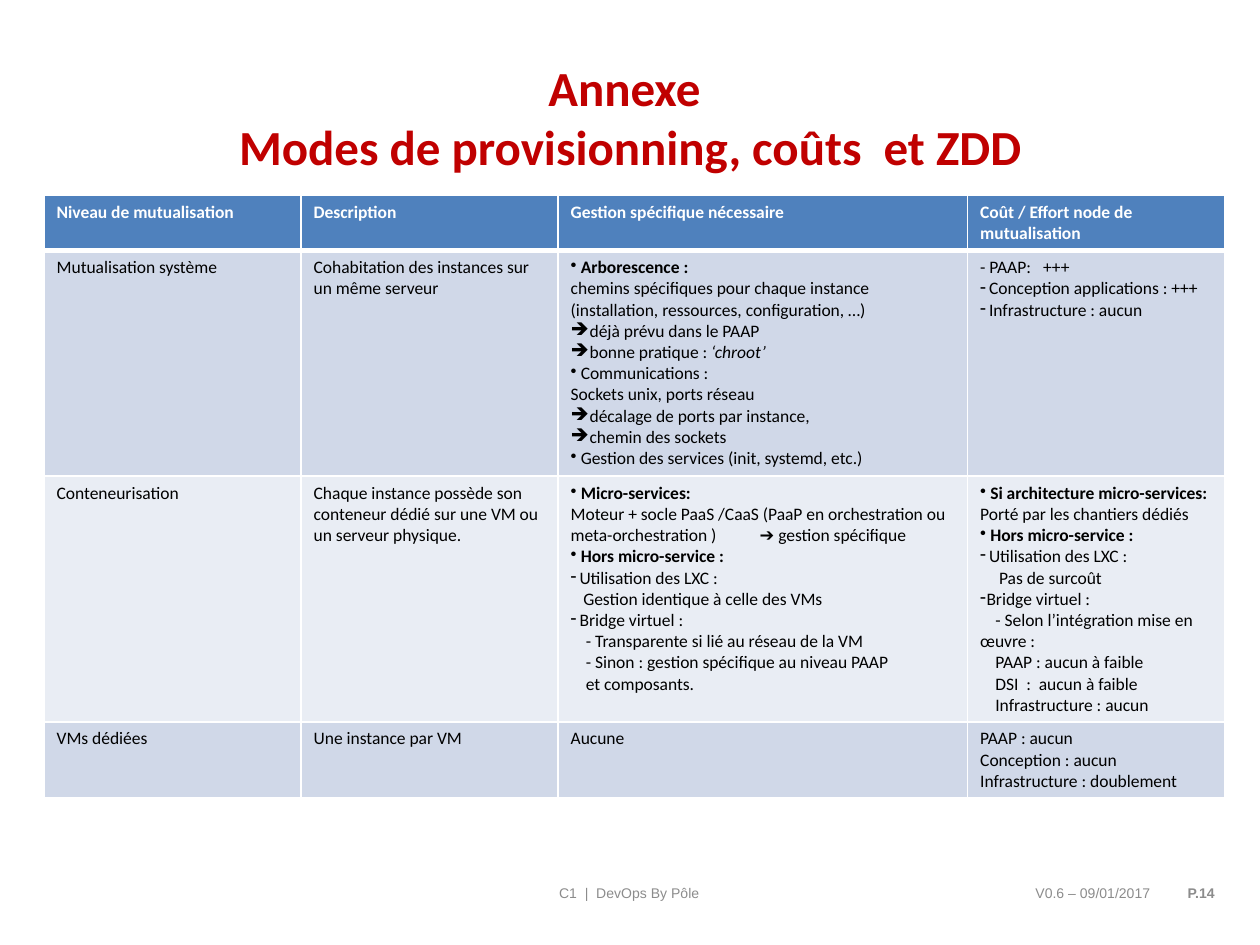
from dataclasses import dataclass

from lxml import etree
from pptx import Presentation
from pptx.dml.color import RGBColor
from pptx.enum.text import MSO_ANCHOR, PP_ALIGN
from pptx.oxml.ns import qn
from pptx.util import Inches, Pt

LEFT, CENTER, RIGHT = PP_ALIGN.LEFT, PP_ALIGN.CENTER, PP_ALIGN.RIGHT
TOP, MIDDLE = MSO_ANCHOR.TOP, MSO_ANCHOR.MIDDLE

WHITE, BLACK, RED, GREY = "FFFFFF", "000000", "C00000", "8C8C8C"
HEADER_BLUE, BAND_DARK, BAND_LIGHT = "4F81BD", "D0D8E8", "E9EDF4"
BORDER, HEADER_BORDER = 1, 3


def color(value):
    return RGBColor.from_string(value)


@dataclass
class Line:
    """One paragraph; lengths are in inches."""
    text: str
    bold: bool = False
    italic_end: str = ""
    bullet: str = ""
    left: float = 0
    first: float = 0
    tab: float = 0


def dot(text, bold=False):
    return Line(text, bold, bullet="•", left=0.08, first=-0.08)


def arrow(text, italic_end=""):
    return Line(text, italic_end=italic_end, bullet="➔", left=0.15, first=-0.15)


def dash(text, hang=0.07):
    return Line(text, bullet="-", left=hang, first=-hang)


def inset(text, left=0.12):
    return Line(text, left=left)


class SlideBuilder:
    title_font = {"name": "Calibri", "size": Pt(28), "bold": True}
    table_font = {"name": "Calibri", "size": Pt(10)}
    footer_font = {"name": "Arial", "size": Pt(8)}

    def __init__(self, slide):
        self.slide = slide

    def run(self, paragraph, text, ink, font):
        run = paragraph.add_run()
        run.text = text
        for name, value in font.items():
            setattr(run.font, name, value)
        run.font.color.rgb = color(ink)

    def text(self, box, lines, ink, font, align, anchor=TOP, margins=(0, 0, 0, 0)):
        frame = self.slide.shapes.add_textbox(*map(Inches, box)).text_frame
        sides = ("margin_left", "margin_top", "margin_right", "margin_bottom")
        layout = {"word_wrap": True, "vertical_anchor": anchor,
                  **dict(zip(sides, map(Inches, margins)))}
        for name, value in layout.items():
            setattr(frame, name, value)
        for index, line in enumerate(lines):
            paragraph = frame.add_paragraph() if index else frame.paragraphs[0]
            paragraph.alignment = align
            self.run(paragraph, line, ink, font)

    def indent(self, paragraph, line):
        properties = paragraph._p.get_or_add_pPr()
        properties.set("marL", str(Inches(line.left)))
        properties.set("indent", str(Inches(line.first)))
        if line.bullet:
            etree.SubElement(properties, qn("a:buChar"), char=line.bullet)
        else:
            etree.SubElement(properties, qn("a:buNone"))
        if line.tab:
            stops = etree.SubElement(properties, qn("a:tabLst"))
            etree.SubElement(stops, qn("a:tab"), pos=str(Inches(line.tab)), algn="l")

    def borders(self, cell, top, bottom):
        widths = {"a:lnL": BORDER, "a:lnR": BORDER, "a:lnT": top, "a:lnB": bottom}
        properties = cell._tc.get_or_add_tcPr()
        for index, (tag, width) in enumerate(widths.items()):
            edge = etree.Element(qn(tag), w=str(Pt(width)))
            fill = etree.SubElement(edge, qn("a:solidFill"))
            etree.SubElement(fill, qn("a:srgbClr"), val=WHITE)
            properties.insert(index, edge)

    def cell(self, cell, lines, fill, ink, top, bottom):
        cell.fill.solid()
        cell.fill.fore_color.rgb = color(fill)
        self.borders(cell, top, bottom)
        frame = cell.text_frame
        for index, line in enumerate(lines):
            paragraph = frame.add_paragraph() if index else frame.paragraphs[0]
            paragraph.alignment = LEFT
            self.indent(paragraph, line)
            font = {**self.table_font, "bold": line.bold}
            self.run(paragraph, line.text, ink, font)
            if line.italic_end:
                self.run(paragraph, line.italic_end, ink, {**font, "italic": True})

    def table(self, left, top, widths, heights, rows):
        size = map(Inches, (left, top, sum(widths), sum(heights)))
        table = self.slide.shapes.add_table(len(rows), len(widths), *size).table
        for column, width in zip(table.columns, widths):
            column.width = Inches(width)
        for index, (row, height, contents) in enumerate(zip(table.rows, heights, rows)):
            row.height = Inches(height)
            band = BAND_DARK if index % 2 else BAND_LIGHT
            fill, ink = (band, BLACK) if index else (HEADER_BLUE, WHITE)
            upper = HEADER_BORDER if index == 1 else BORDER
            lower = BORDER if index else HEADER_BORDER
            for cell, lines in zip(row.cells, contents):
                self.cell(cell, lines, fill, ink, upper, lower)


presentation = Presentation()
presentation.slide_width, presentation.slide_height = Inches(10), Inches(7.5)
builder = SlideBuilder(presentation.slides.add_slide(presentation.slide_layouts[6]))

# Footer
footer_top, footer_height = 7.02, 0.48
for left, width, words, align, bold, right_margin in (
    (7.19, 1.98, "V0.6 – 09/01/2017", RIGHT, False, 0.04),
    (9.25, 0.39, "P.14", RIGHT, True, 0),
    (3.03, 3.93, "C1  |  DevOps By Pôle", CENTER, False, 0),
):
    builder.text((left, footer_top, width, footer_height), [words], GREY,
                 {**builder.footer_font, "bold": bold}, align,
                 margins=(0, 0, right_margin, 0))

# Title
builder.text((0.5, 0.3, 9, 1.25), ["Annexe ", "Modes de provisionning, coûts  et ZDD"],
             RED, builder.title_font, CENTER, MIDDLE, (0.1, 0.05, 0.1, 0.05))

# Table contents, one list of lines per cell
headings = [[Line(heading, bold=True)] for heading in (
    "Niveau de mutualisation", "Description", "Gestion spécifique nécessaire",
    "Coût / Effort node de mutualisation")]

shared_system = [
    [Line("Mutualisation système")],
    [Line("Cohabitation des instances sur un même serveur")],
    [dot("Arborescence :", bold=True),
     Line("chemins spécifiques pour chaque instance (installation, ressources, configuration, …)"),
     arrow("déjà prévu dans le PAAP"),
     arrow("bonne pratique : ", italic_end="‘chroot’"),
     dot("Communications :"),
     Line("Sockets unix, ports réseau"),
     arrow("décalage de ports par instance,"),
     arrow("chemin des sockets"),
     dot("Gestion des services (init, systemd, etc.)")],
    [Line("- PAAP:\t+++", tab=0.49),
     dash("Conception applications : +++"),
     dash("Infrastructure : aucun")],
]

containers = [
    [Line("Conteneurisation")],
    [Line("Chaque instance possède son conteneur dédié sur une VM ou un serveur physique.")],
    [dot("Micro-services:", bold=True),
     Line("Moteur + socle PaaS /CaaS (PaaP en orchestration ou "
          "meta-orchestration )\t➔ gestion spécifique", tab=1.32),
     dot("Hors micro-service :", bold=True),
     dash("Utilisation des LXC :"),
     inset("Gestion identique à celle des VMs", 0.1),
     dash("Bridge virtuel :"),
     inset("- Transparente si lié au réseau de la VM"),
     inset("- Sinon : gestion spécifique au niveau PAAP"),
     inset("et composants.")],
    [dot("Si architecture micro-services:", bold=True),
     Line("Porté par les chantiers dédiés"),
     dot("Hors micro-service :", bold=True),
     dash("Utilisation des LXC :"),
     inset("Pas de surcoût", 0.15),
     dash("Bridge virtuel :", hang=0.05),
     Line("- Selon l’intégration mise en œuvre :", first=0.12),
     inset("PAAP : aucun à faible"),
     inset("DSI  :  aucun à faible"),
     inset("Infrastructure : aucun")],
]

dedicated_machines = [
    [Line("VMs dédiées")],
    [Line("Une instance par VM")],
    [Line("Aucune")],
    [Line("PAAP : aucun"), Line("Conception : aucun"), Line("Infrastructure : doublement")],
]

builder.table(0.35, 1.55, (2.04, 2.04, 3.25, 2.04), (0.44, 1.79, 1.95, 0.6),
              (headings, shared_system, containers, dedicated_machines))

presentation.save("out.pptx")
